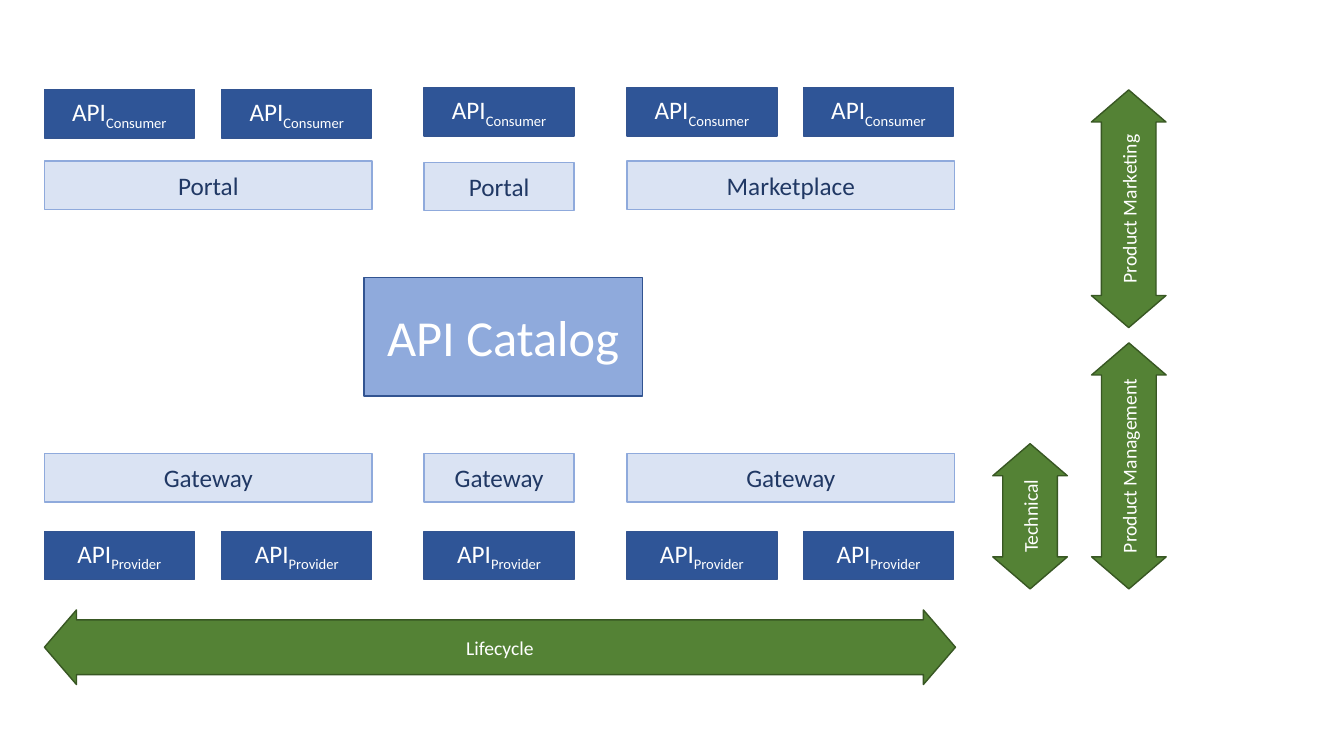
from pptx import Presentation
from pptx.dml.color import RGBColor
from pptx.enum.shapes import MSO_SHAPE
from pptx.enum.text import MSO_ANCHOR, PP_ALIGN
from pptx.util import Cm, Pt

RECTANGLE = MSO_SHAPE.RECTANGLE
DOUBLE_ARROW = MSO_SHAPE.LEFT_RIGHT_ARROW
CENTER = PP_ALIGN.CENTER
MIDDLE = MSO_ANCHOR.MIDDLE

BLANK_LAYOUT = 6
API_STYLE = {"fill": "2F5597", "line": "325491", "color": "FFFFFF", "size": 18}
CHANNEL_STYLE = {"fill": "DAE3F3", "line": "8FAADC", "color": "203864", "size": 18}
CATALOG_STYLE = {"fill": "8FAADC", "line": "325491", "color": "FFFFFF", "size": 36}
ARROW_STYLE = {"fill": "548235", "line": "385723", "color": "FFFFFF", "size": 14}

BOX_HEIGHT = 1.22
API_WIDTH = 3.78
WIDE_WIDTH = 8.26
ARROW_HEIGHT = 1.88
PROVIDER_TOP = 13.39
GATEWAY_TOP = 11.43

# API lefts, channel width, consumer top, channel name and channel top of each group
GROUPS = [
    ([1.12, 5.59], WIDE_WIDTH, 2.26, "Portal", 4.06),
    ([10.69], API_WIDTH, 2.21, "Portal", 4.09),
    ([15.8, 20.25], WIDE_WIDTH, 2.21, "Marketplace", 4.06),
]
# Label, left, top, length before the quarter turn
VERTICAL_ARROWS = [
    ("Technical", 24.13, 12.07, 3.66),
    ("Product Management", 25.35, 10.8, 6.2),
    ("Product Marketing", 25.45, 4.32, 5.99),
]


def rgb(hex_color):
    return RGBColor.from_string(hex_color)


def add_run(paragraph, text, style):
    run = paragraph.add_run()
    run.text = text
    font_format = {"name": "Calibri", "size": Pt(style["size"])}
    for attribute, value in font_format.items():
        setattr(run.font, attribute, value)
    run.font.color.rgb = rgb(style["color"])
    return run


def add_block(slide, kind, position, label, style, subscript=None):
    """Add a labelled shape; position is left, top, width, height in cm."""
    block = slide.shapes.add_shape(kind, *map(Cm, position))
    block.shadow.inherit = False
    block.fill.solid()
    block.fill.fore_color.rgb = rgb(style["fill"])
    block.line.color.rgb = rgb(style["line"])
    block.line.width = Pt(1)
    frame = block.text_frame
    for attribute, value in {"word_wrap": True, "vertical_anchor": MIDDLE}.items():
        setattr(frame, attribute, value)
    paragraph = frame.paragraphs[0]
    paragraph.alignment = CENTER
    add_run(paragraph, label, style)
    if subscript:
        role = add_run(paragraph, subscript, style)
        role._r.get_or_add_rPr().set("baseline", "-25000")
    return block


def add_api(slide, left, top, role):
    add_block(slide, RECTANGLE, (left, top, API_WIDTH, BOX_HEIGHT), "API", API_STYLE, role)


def add_channel(slide, left, top, width, label):
    add_block(slide, RECTANGLE, (left, top, width, BOX_HEIGHT), label, CHANNEL_STYLE)


def add_arrow(slide, label, left, top, length, rotation=0):
    arrow = add_block(slide, DOUBLE_ARROW, (left, top, length, ARROW_HEIGHT), label, ARROW_STYLE)
    arrow.adjustments[0] = 0.733
    arrow.adjustments[1] = 0.43
    arrow.rotation = rotation


def main():
    presentation = Presentation()
    presentation.slide_width = Cm(33.87)
    presentation.slide_height = Cm(19.05)
    slide = presentation.slides.add_slide(presentation.slide_layouts[BLANK_LAYOUT])

    for api_lefts, width, consumer_top, channel, channel_top in GROUPS:
        for left in api_lefts:
            add_api(slide, left, consumer_top, "Consumer")
            add_api(slide, left, PROVIDER_TOP, "Provider")
        add_channel(slide, api_lefts[0], channel_top, width, channel)
        add_channel(slide, api_lefts[0], GATEWAY_TOP, width, "Gateway")

    add_block(slide, RECTANGLE, (9.17, 6.99, 7.02, 2.99), "API Catalog", CATALOG_STYLE)
    for label, left, top, length in VERTICAL_ARROWS:
        add_arrow(slide, label, left, top, length, rotation=270)
    add_arrow(slide, "Lifecycle", 1.12, 15.37, 23.16 - 0.2)

    presentation.save("out.pptx")


if __name__ == "__main__":
    main()
